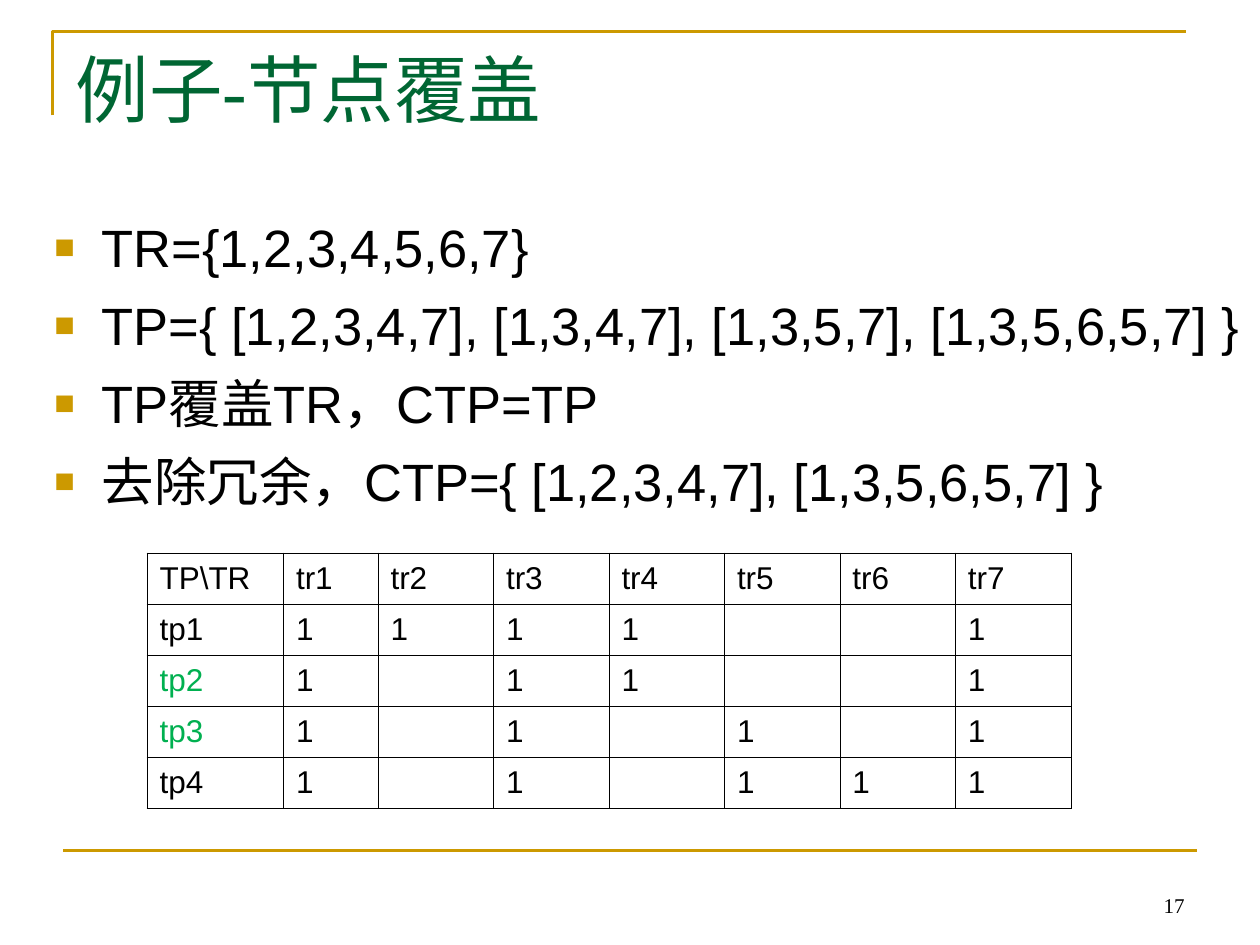
from pptx import Presentation
from pptx.dml.color import RGBColor
from pptx.enum import shapes, text
from pptx.oxml.ns import qn
from pptx.util import Pt
from lxml import etree

GOLD = RGBColor(0xCC, 0x99, 0x00)
DARK_GREEN = RGBColor(0x00, 0x66, 0x33)
GREEN = RGBColor(0x00, 0xB0, 0x50)
BLACK = RGBColor(0, 0, 0)

TITLE_FONT = {"size": Pt(42), "name": "Times New Roman", "color": DARK_GREEN}
BODY_FONT = {"size": Pt(30), "name": "Arial", "color": BLACK}
CELL_FONT = {"size": Pt(18), "name": "Arial", "color": BLACK}
NUMBER_FONT = {"size": Pt(12), "name": "Times New Roman", "color": BLACK}

STATEMENTS = [
    "TR={1,2,3,4,5,6,7}",
    "TP={ [1,2,3,4,7], [1,3,4,7], [1,3,5,7], [1,3,5,6,5,7] }",
    "TP覆盖TR，CTP=TP",
    "去除冗余，CTP={ [1,2,3,4,7], [1,3,5,6,5,7] }",
]
TEST_PATHS = {"tp1": "12347", "tp2": "1347", "tp3": "1357", "tp4": "13567"}
REDUNDANT = ("tp2", "tp3")
REQUIREMENTS = "1234567"


def add_span(para, words, style):
    """Add a run of words in the given font style."""
    span = para.add_run()
    span.text = words
    for name, value in style.items():
        if name == "color":
            span.font.color.rgb = value
        else:
            setattr(span.font, name, value)


def add_child(parent, tag, **attributes):
    """Append an XML element with the given attributes."""
    return etree.SubElement(parent, qn(tag), attributes)


def set_frame(frame, anchor):
    """Give a text frame wrapping, an anchor and the standard insets."""
    settings = {"word_wrap": True, "auto_size": text.MSO_AUTO_SIZE.NONE,
                "vertical_anchor": anchor,
                "margin_left": Pt(7.2), "margin_right": Pt(7.2),
                "margin_top": Pt(3.6), "margin_bottom": Pt(3.6)}
    for name, value in settings.items():
        setattr(frame, name, value)


def add_rules(page, left, top, width, height):
    """Draw the corner rule at the top and the straight rule at the bottom."""
    builder = page.shapes.build_freeform(left, top + Pt(48))
    builder.add_line_segments([(left, top), (left + width, top)], close=False)
    corner = builder.convert_to_shape()
    corner.shadow.inherit = False
    corner.fill.background()
    start, bottom = left + Pt(6), top + height
    rule = page.shapes.add_connector(shapes.MSO_CONNECTOR.STRAIGHT,
                                     start, bottom, start + width, bottom)
    add_child(rule._element.spPr, "a:effectLst")
    for shape in (corner, rule):
        shape.line.color.rgb = GOLD
        shape.line.width = Pt(1.5)


def add_title(page, left, top, width, height):
    """Place and format the title."""
    title = page.shapes.title
    title.left, title.top, title.width, title.height = left, top, width, height
    set_frame(title.text_frame, text.MSO_ANCHOR.TOP)
    para = title.text_frame.paragraphs[0]
    para.alignment = text.PP_ALIGN.LEFT
    add_span(para, "例子-节点覆盖", TITLE_FONT)


def add_statements(page, left, top, width, height):
    """Place the bulleted statements."""
    frame = page.shapes.add_textbox(left, top, width, height).text_frame
    set_frame(frame, text.MSO_ANCHOR.TOP)
    for index, words in enumerate(STATEMENTS):
        para = frame.add_paragraph() if index else frame.paragraphs[0]
        properties = para._p.get_or_add_pPr()
        properties.set("marL", str(Pt(27)))
        properties.set("indent", str(-Pt(27)))
        color = add_child(properties, "a:buClr")
        add_child(color, "a:srgbClr", val=str(GOLD))
        add_child(properties, "a:buSzPct", val="65000")
        add_child(properties, "a:buFont", typeface="Arial")
        add_child(properties, "a:buChar", char="■")
        para.space_before = Pt(8.6 if index else 0)
        add_span(para, words, BODY_FONT)


def add_borders(cell):
    """Draw thin black lines on the four sides of a cell."""
    properties = cell._tc.get_or_add_tcPr()
    for index, side in enumerate("LRTB"):
        line = add_child(properties, f"a:ln{side}", w=str(Pt(0.45)))
        fill = add_child(line, "a:solidFill")
        add_child(fill, "a:srgbClr", val=str(BLACK))
        properties.insert(index, line)


def add_coverage(page, left, top, width, height):
    """Place the table of requirements covered by each test path."""
    rows = [["TP\\TR"] + [f"tr{number}" for number in REQUIREMENTS]]
    for name, covered in TEST_PATHS.items():
        rows.append([name] + ["1" if number in covered else "" for number in REQUIREMENTS])
    table = page.shapes.add_table(len(rows), len(rows[0]), left, top, width, height).table
    table.first_row = table.horz_banding = False
    fixed = [Pt(78), Pt(54)]
    rest = len(rows[0]) - len(fixed)
    widths = fixed + [(width - sum(fixed)) // rest] * rest
    for column, size in zip(table.columns, widths):
        column.width = size
    for row, values in zip(table.rows, rows):
        row.height = height // len(rows)
        for cell, words in zip(row.cells, values):
            cell.fill.background()
            cell.vertical_anchor = text.MSO_ANCHOR.MIDDLE
            add_borders(cell)
            if words:
                color = GREEN if words in REDUNDANT else BLACK
                add_span(cell.text_frame.paragraphs[0], words, {**CELL_FONT, "color": color})


def add_page_number(page, left, top, width, height):
    """Place the page number."""
    frame = page.shapes.add_textbox(left, top, width, height).text_frame
    set_frame(frame, text.MSO_ANCHOR.BOTTOM)
    frame.paragraphs[0].alignment = text.PP_ALIGN.RIGHT
    add_span(frame.paragraphs[0], "17", NUMBER_FONT)


def main():
    """Build the slide and save it."""
    deck = Presentation()
    deck.slide_width, deck.slide_height = Pt(720), Pt(540)
    page = deck.slides.add_slide(deck.slide_layouts[5])
    add_rules(page, Pt(30), Pt(18), Pt(648), Pt(468))
    add_title(page, Pt(36), Pt(21.6), Pt(648), Pt(90))
    add_statements(page, Pt(24), Pt(119.5), Pt(708), Pt(356))
    add_coverage(page, Pt(84), Pt(316), Pt(528), Pt(146))
    add_page_number(page, Pt(516), Pt(492), Pt(168), Pt(36))
    deck.save("out.pptx")


if __name__ == "__main__":
    main()
